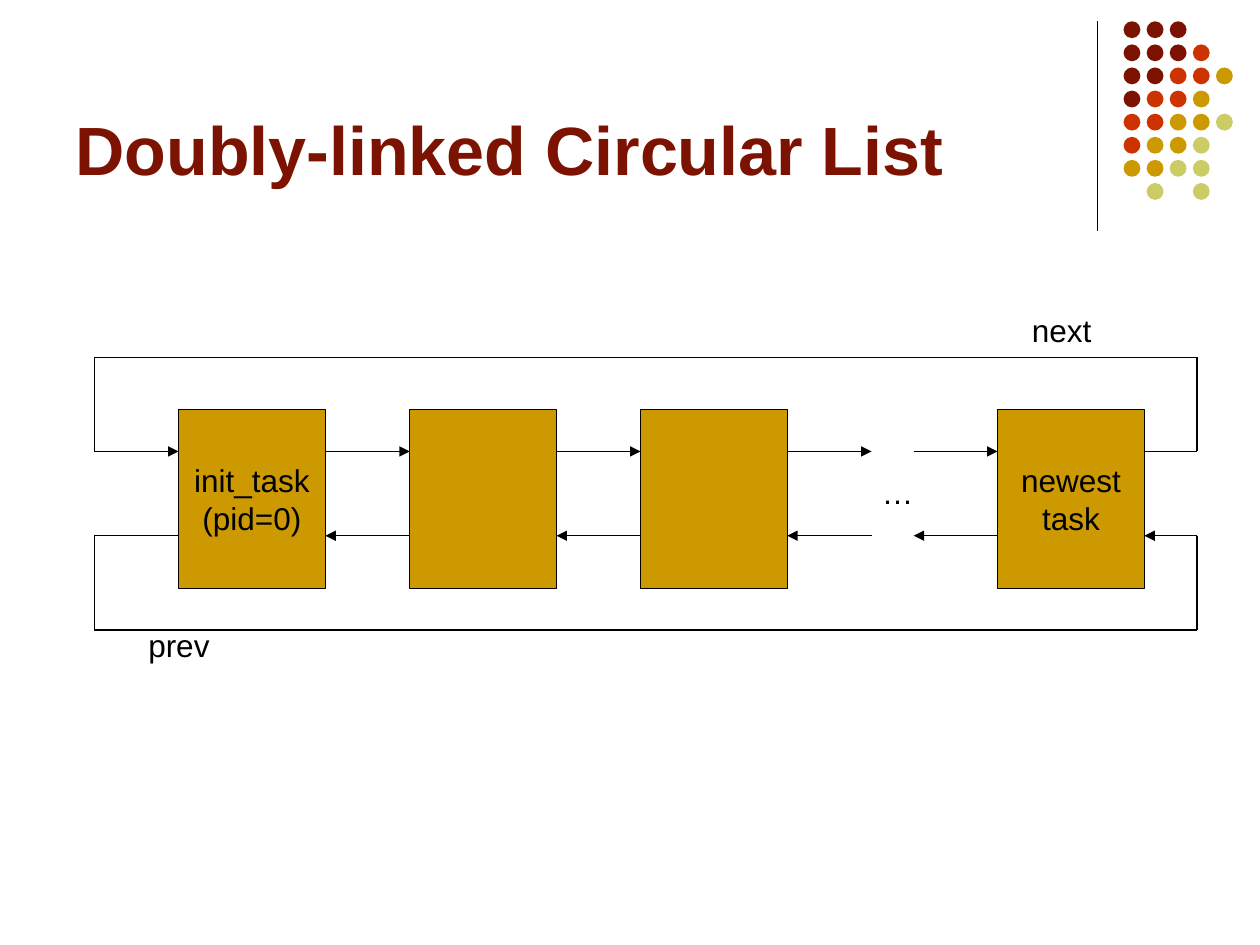
from dataclasses import dataclass

import pptx
import pptx.dml.color
import pptx.enum.shapes
import pptx.enum.text
import pptx.oxml.ns
import pptx.util
from lxml import etree

Cm = pptx.util.Cm
ALIGN = pptx.enum.text.PP_ALIGN
ANCHOR = pptx.enum.text.MSO_ANCHOR
SHAPE = pptx.enum.shapes.MSO_SHAPE


@dataclass(frozen=True)
class Theme:
    font: str = "Arial"
    title_size: int = 39
    body_size: int = 18
    line_width: float = 0.75
    title: str = "7C1302"
    ink: str = "000000"
    node: str = "CC9900"


@dataclass(frozen=True)
class Node:
    left: float
    lines: tuple[str, ...] = ()


@dataclass(frozen=True)
class Label:
    text: str
    left: float
    top: float
    width: float
    wrap: bool = False


THEME = Theme()

# Decorative dots: one letter per colour, a space leaves a hole
DOT_COLORS = {"M": "7C1302", "R": "CC3300", "G": "CC9900", "Y": "CCCC66"}
DOT_ROWS = ("MMM", "MMMR", "MMRRG", "MRRG", "RRGGY", "RGGY", "GGYY", " Y Y")
DOT_LEFT, DOT_TOP, DOT_SIZE = 22.65, 0.43, 0.34
DOT_PITCH = 3.26 / 7

# List geometry, in centimetres
NODE_TOP, NODE_WIDTH, NODE_HEIGHT = 8.26, 2.96, 3.6
NODES = (
    Node(3.6, ("init_task", "(pid=0)")),
    Node(8.26),
    Node(12.91),
    Node(20.11, ("newest", "task")),
)
GAP_LEFT, GAP_RIGHT = 17.57, 18.42
LOOP_LEFT, LOOP_RIGHT, LOOP_TOP, LOOP_BOTTOM = 1.9, 24.13, 7.2, 12.7
NEXT_Y, PREV_Y = 9.1, 10.8
LABELS = (
    Label("…", 17.53, 9.42, 1.14),
    Label("next", 20.55, 6.15, 1.7),
    Label("prev", 2.74, 12.5, 2.11, True),
)


def rgb(color: str) -> pptx.dml.color.RGBColor:
    return pptx.dml.color.RGBColor.from_string(color)


def add_run(p, text: str, size: float, color: str, bold: bool = False) -> None:
    r = p.add_run()
    r.text = text
    r.font.name = THEME.font
    r.font.size = pptx.util.Pt(size)
    r.font.bold = bold
    r.font.color.rgb = rgb(color)


def add_line(s, x1: float, y1: float, x2: float, y2: float, arrow: bool = False) -> None:
    sp = s.shapes.add_connector(
        pptx.enum.shapes.MSO_CONNECTOR.STRAIGHT, Cm(x1), Cm(y1), Cm(x2), Cm(y2))
    sp.line.color.rgb = rgb(THEME.ink)
    sp.line.width = pptx.util.Pt(THEME.line_width)
    if arrow:
        ln = sp.line._get_or_add_ln()
        etree.SubElement(ln, pptx.oxml.ns.qn("a:tailEnd"), type="triangle")
    etree.SubElement(sp._element.spPr, pptx.oxml.ns.qn("a:effectLst"))


def add_filled(s, kind, left: float, top: float, width: float, height: float, color: str):
    sp = s.shapes.add_shape(kind, Cm(left), Cm(top), Cm(width), Cm(height))
    sp.shadow.inherit = False
    sp.fill.solid()
    sp.fill.fore_color.rgb = rgb(color)
    sp.line.fill.background()
    return sp


def add_dots(s) -> None:
    for row, letters in enumerate(DOT_ROWS):
        for col, letter in enumerate(letters):
            if letter in DOT_COLORS:
                add_filled(s, SHAPE.OVAL, DOT_LEFT + col * DOT_PITCH,
                           DOT_TOP + row * DOT_PITCH, DOT_SIZE, DOT_SIZE,
                           DOT_COLORS[letter])


def add_title(s, text: str) -> None:
    sp = s.shapes.title
    sp.left, sp.top, sp.width, sp.height = Cm(1.27), Cm(0.33), Cm(20.96), Cm(3.61)
    tf = sp.text_frame
    tf.auto_size = pptx.enum.text.MSO_AUTO_SIZE.NONE
    tf.vertical_anchor = ANCHOR.BOTTOM
    p = tf.paragraphs[0]
    p.alignment = ALIGN.LEFT
    add_run(p, text, THEME.title_size, THEME.title, bold=True)


def add_node(s, node: Node) -> None:
    sp = add_filled(s, SHAPE.RECTANGLE, node.left, NODE_TOP,
                    NODE_WIDTH, NODE_HEIGHT, THEME.node)
    sp.line.color.rgb = rgb(THEME.ink)
    sp.line.width = pptx.util.Pt(THEME.line_width)
    tf = sp.text_frame
    tf.word_wrap = False
    tf.vertical_anchor = ANCHOR.MIDDLE
    for i, text in enumerate(node.lines):
        p = tf.add_paragraph() if i else tf.paragraphs[0]
        p.alignment = ALIGN.CENTER
        add_run(p, text, THEME.body_size, THEME.ink)


def add_links(s) -> None:
    # Stretches between neighbours, broken at the ellipsis
    lefts = [node.left for node in NODES]
    rights = [left + NODE_WIDTH for left in lefts]
    starts = rights[:-1] + [GAP_RIGHT]
    ends = lefts[1:-1] + [GAP_LEFT, lefts[-1]]
    for start, end in zip(starts, ends):
        add_line(s, start, NEXT_Y, end, NEXT_Y, arrow=True)
        add_line(s, end, PREV_Y, start, PREV_Y, arrow=True)

    # Stubs at both ends of the list
    add_line(s, LOOP_LEFT, NEXT_Y, lefts[0], NEXT_Y, arrow=True)
    add_line(s, rights[-1], NEXT_Y, LOOP_RIGHT, NEXT_Y)
    add_line(s, LOOP_RIGHT, PREV_Y, rights[-1], PREV_Y, arrow=True)
    add_line(s, lefts[0], PREV_Y, LOOP_LEFT, PREV_Y)

    # Loops that close the circle above and below
    for row_y, loop_y in ((NEXT_Y, LOOP_TOP), (PREV_Y, LOOP_BOTTOM)):
        add_line(s, LOOP_LEFT, loop_y, LOOP_RIGHT, loop_y)
        for x in (LOOP_LEFT, LOOP_RIGHT):
            add_line(s, x, row_y, x, loop_y)


def add_label(s, label: Label) -> None:
    sp = s.shapes.add_textbox(Cm(label.left), Cm(label.top), Cm(label.width), Cm(1.02))
    tf = sp.text_frame
    tf.word_wrap = label.wrap
    tf.auto_size = pptx.enum.text.MSO_AUTO_SIZE.SHAPE_TO_FIT_TEXT
    add_run(tf.paragraphs[0], label.text, THEME.body_size, THEME.ink)


def main() -> None:
    prs = pptx.Presentation()
    prs.slide_width, prs.slide_height = Cm(25.4), Cm(19.05)
    s = prs.slides.add_slide(prs.slide_layouts[5])

    # Corner decoration and title
    add_line(s, 22.12, 0.43, 22.12, 4.65)
    add_dots(s)
    add_title(s, "Doubly-linked Circular List")

    # Circular list
    for node in NODES:
        add_node(s, node)
    add_links(s)
    for label in LABELS:
        add_label(s, label)

    prs.save("out.pptx")


if __name__ == "__main__":
    main()
